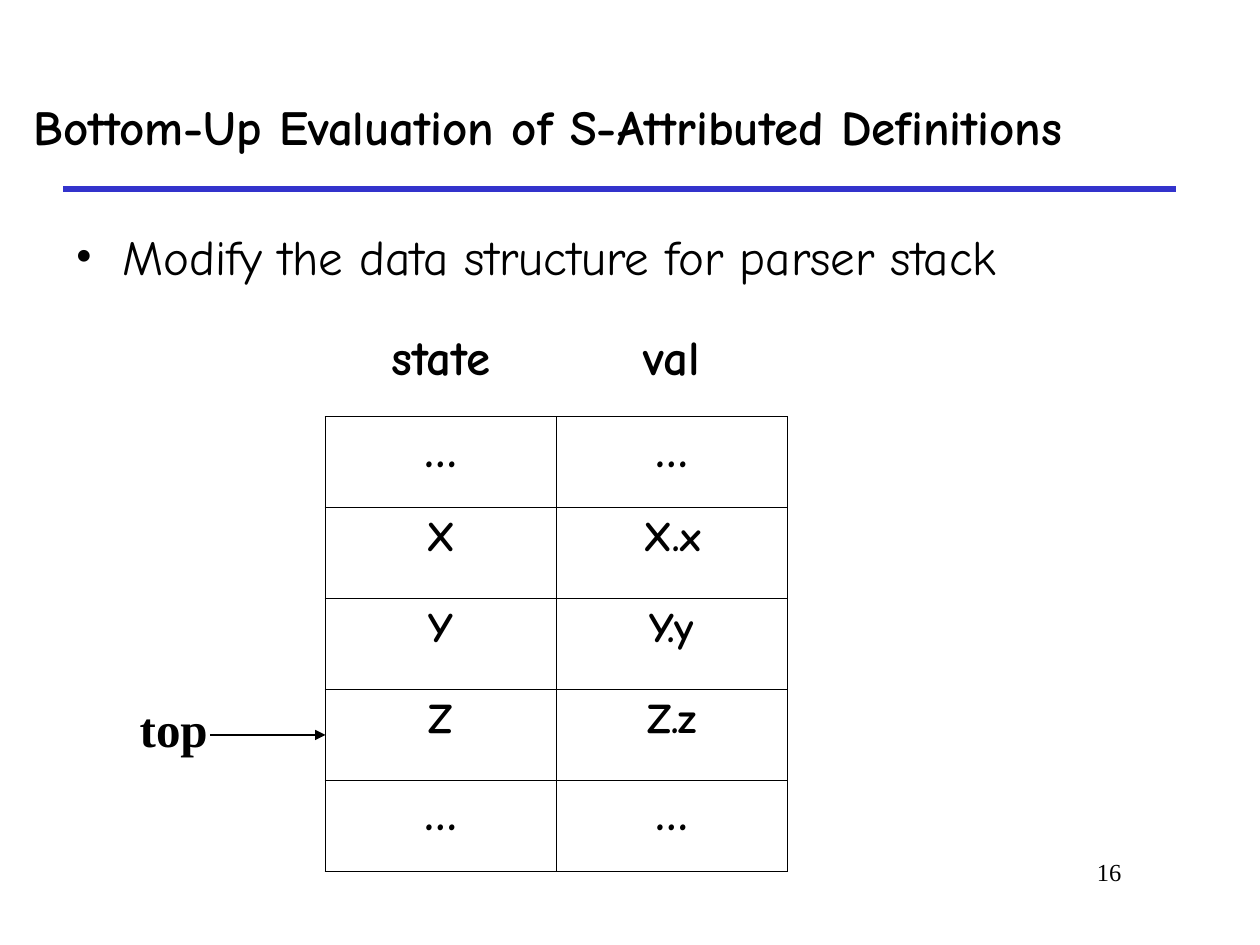
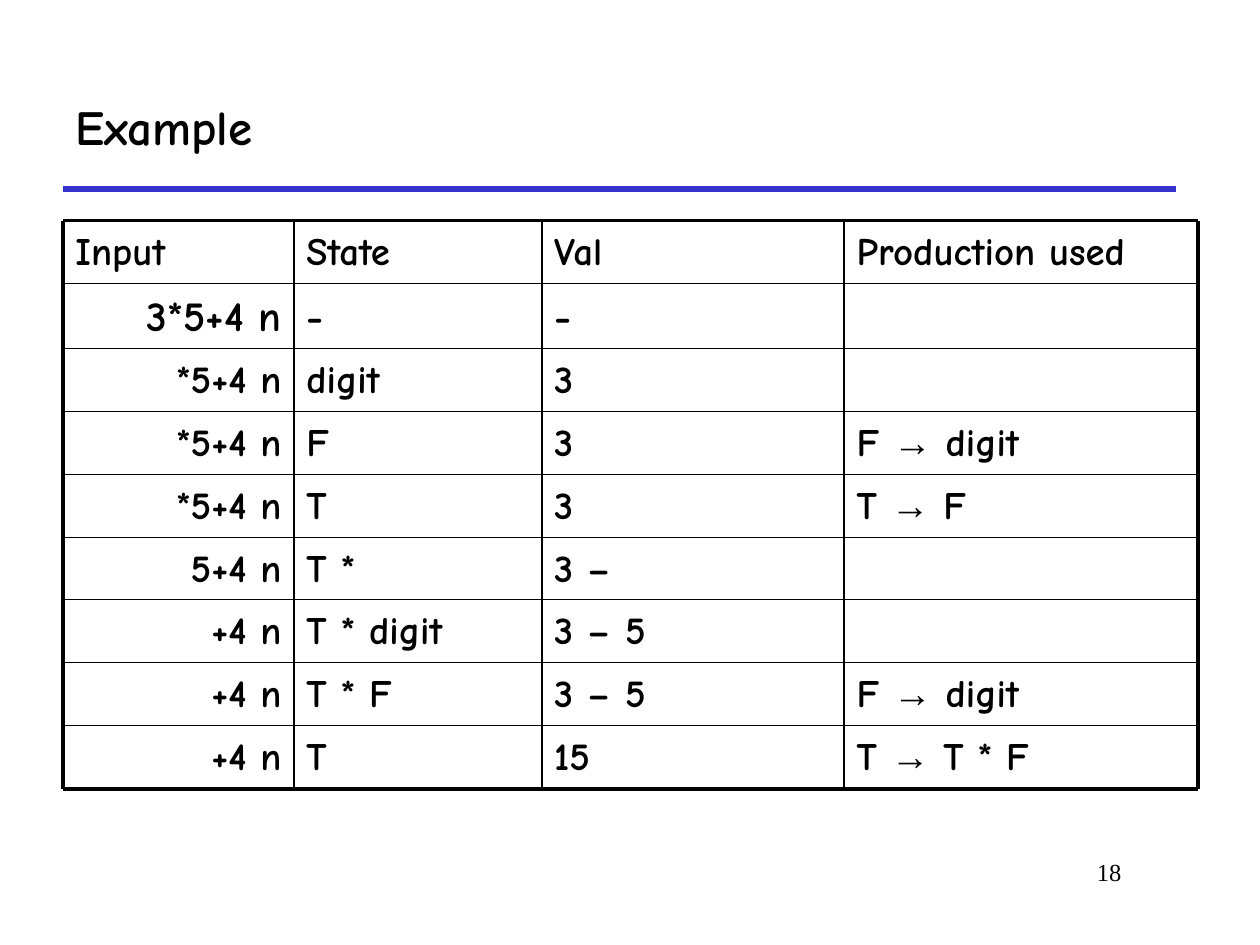
from itertools import accumulate, groupby

from lxml.etree import SubElement
from pptx import Presentation
from pptx.dml.color import RGBColor
from pptx.enum.shapes import MSO_CONNECTOR
from pptx.enum.text import MSO_ANCHOR as Anchor, MSO_AUTO_SIZE as AutoSize, PP_ALIGN as Align
from pptx.oxml import parse_xml
from pptx.oxml.ns import nsdecls, qn
from pptx.util import Pt

SCALE = 7620  # EMU in one px, 120 px to the inch
COLORS = {"text": "000000", "line": "000000", "rule": "3333CC"}
HAND, SERIF, ARROW = "Comic Neue", "Times New Roman", "Arial"


def px(length):
    return length * SCALE


def write(paragraph, text, *, size=28, font=HAND, bold=False, align=Align.LEFT, before=0):
    """Fill a paragraph; arrows get a font of their own."""
    paragraph.alignment = align
    paragraph.space_before = Pt(before)
    for is_arrow, characters in groupby(text, lambda character: character == "→"):
        run = paragraph.add_run()
        run.text = "".join(characters)
        run.font.name = ARROW if is_arrow else font
        run.font.size = Pt(size)
        run.font.bold = bold
        run.font.color.rgb = RGBColor.from_string(COLORS["text"])


def set_borders(cell, widths):
    """Draw the left, right, top and bottom borders; None leaves one out."""
    properties = cell._tc.get_or_add_tcPr()
    for index, (side, width) in enumerate(zip("LRTB", widths)):
        if width is None:
            paint, size = "<a:noFill/>", 0
        else:
            paint = f'<a:solidFill><a:srgbClr val="{COLORS["line"]}"/></a:solidFill>'
            size = Pt(width)
        border = f'<a:ln{side} {nsdecls("a")} w="{size}">{paint}</a:ln{side}>'
        properties.insert(index, parse_xml(border))


class Deck:
    def __init__(self):
        self.presentation = Presentation()
        self.presentation.slide_width = px(1200)
        self.presentation.slide_height = px(900)
        self.slide = None

    def new_slide(self, title, number, title_left, title_width):
        self.slide = self.presentation.slides.add_slide(self.presentation.slide_layouts[6])
        self.line((60, 180), (1120, 180), color="rule", width=3)
        self.text((830, 810, 250, 60), str(number), size=14, font=SERIF, align=Align.RIGHT)
        self.text((title_left, 60, title_width, 120), title, anchor=Anchor.MIDDLE, bold=True)

    def text(self, box, text, anchor=Anchor.TOP, wrap=True, **style):
        shape = self.slide.shapes.add_textbox(*map(px, box))
        frame = shape.text_frame
        frame.word_wrap = wrap
        frame.auto_size = AutoSize.NONE if wrap else AutoSize.SHAPE_TO_FIT_TEXT
        frame.vertical_anchor = anchor
        paragraph = frame.paragraphs[0]
        write(paragraph, text, **style)
        return paragraph

    def bullet(self, box, text, indent=45, **style):
        properties = self.text(box, text, **style)._p.get_or_add_pPr()
        properties.set("marL", str(px(indent)))
        properties.set("indent", str(-px(indent)))
        SubElement(properties, qn("a:buFont")).set("typeface", SERIF)
        SubElement(properties, qn("a:buChar")).set("char", "•")

    def line(self, start, end, color="line", width=0.75, arrow=False):
        connector = self.slide.shapes.add_connector(
            MSO_CONNECTOR.STRAIGHT, *map(px, start + end))
        connector.line.color.rgb = RGBColor.from_string(COLORS[color])
        connector.line.width = Pt(width)
        if arrow:
            SubElement(connector.line._get_or_add_ln(), qn("a:tailEnd")).set("type", "triangle")
        SubElement(connector._element.spPr, qn("a:effectLst"))

    def table(self, origin, columns, heights, rows, style_for, outer, inner):
        """Add a table whose header row stands above the frame."""
        left, top = origin
        frame = self.slide.shapes.add_table(
            len(rows), len(columns), *map(px, (left, top, sum(columns), sum(heights))))
        table = frame.table
        table.first_row = table.horz_banding = False
        for column, width in zip(table.columns, columns):
            column.width = px(width)
        for row, height in zip(table.rows, heights):
            row.height = px(height)
        last_row, last_column = len(rows) - 1, len(columns) - 1
        for r, values in enumerate(rows):
            for c, value in enumerate(values):
                cell = table.cell(r, c)
                cell.fill.background()
                borders = (outer if c == 0 else inner,
                           outer if c == last_column else inner,
                           inner,
                           outer if r == last_row else inner)
                set_borders(cell, borders if r else (None, None, None, inner))
                write(cell.text_frame.paragraphs[0], value, **style_for(r, value))

    def ruled_grid(self, origin, columns, heights, rows, style_for, outer, inner):
        """Set text in a grid of ruled lines with a heavier frame."""
        left, top = origin
        xs = list(accumulate(columns, initial=left))
        ys = list(accumulate(heights, initial=top))
        for r, values in enumerate(rows):
            for c, value in enumerate(values):
                if value:
                    self.text((xs[c], ys[r], columns[c], heights[r]), value, **style_for(r, c))
        for y in ys:
            self.line((xs[0], y), (xs[-1], y), width=outer if y in (ys[0], ys[-1]) else inner)
        for x in xs:
            self.line((x, ys[0]), (x, ys[-1]), width=outer if x in (xs[0], xs[-1]) else inner)


def stack_slide(deck):
    deck.new_slide("Bottom-Up Evaluation of S-Attributed Definitions", 16, 20, 1170)
    deck.bullet((60, 210, 1090, 80), "Modify the data structure for parser stack", before=7)

    # Parser stack
    rows = [("state", "val"), ("…", "…"), ("X", "X.x"), ("Y", "Y.y"), ("Z", "Z.z"), ("…", "…")]

    def stack_style(row, value):
        large = row == 0 or value == "…"
        return {"size": 28 if large else 24, "before": 7 if large else 6,
                "bold": True, "align": Align.CENTER}

    deck.table((310, 310), [220, 220], [87, 86, 87] * 2, rows, stack_style,
               outer=1.08, inner=0.45)

    # Pointer to the top of the stack
    deck.text((121, 659, 89, 68), "top", wrap=False, font=SERIF, bold=True,
              align=Align.CENTER, before=17.5)
    deck.line((200, 700), (310, 700), arrow=True)


def example_slide(deck):
    deck.new_slide("Example", 18, 60, 1060)

    # Trace of the parse
    rows = [
        ("Input", "State", "Val", "Production used"),
        ("3*5+4 n", "-", "-", ""),
        ("*5+4 n", "digit", "3", ""),
        ("*5+4 n", "F", "3", "F → digit"),
        ("*5+4 n", "T", "3", "T → F"),
        ("5+4 n", "T *", "3 –", ""),
        ("+4 n", "T * digit", "3 – 5", ""),
        ("+4 n", "T * F", "3 – 5", "F → digit"),
        ("+4 n", "T", "15", "T → T * F"),
    ]

    def trace_style(row, column):
        return {"size": 24 if row == 1 else 22.2, "before": 6, "bold": True,
                "align": Align.RIGHT if column == 0 and row > 0 else Align.LEFT}

    deck.ruled_grid((60, 210), [220, 236, 288, 337], [60, 62, 60, 60, 60, 59, 60, 60, 60],
                    rows, trace_style, outer=2.25, inner=1)


def main():
    deck = Deck()
    stack_slide(deck)
    example_slide(deck)
    deck.presentation.save("out.pptx")


if __name__ == "__main__":
    main()
